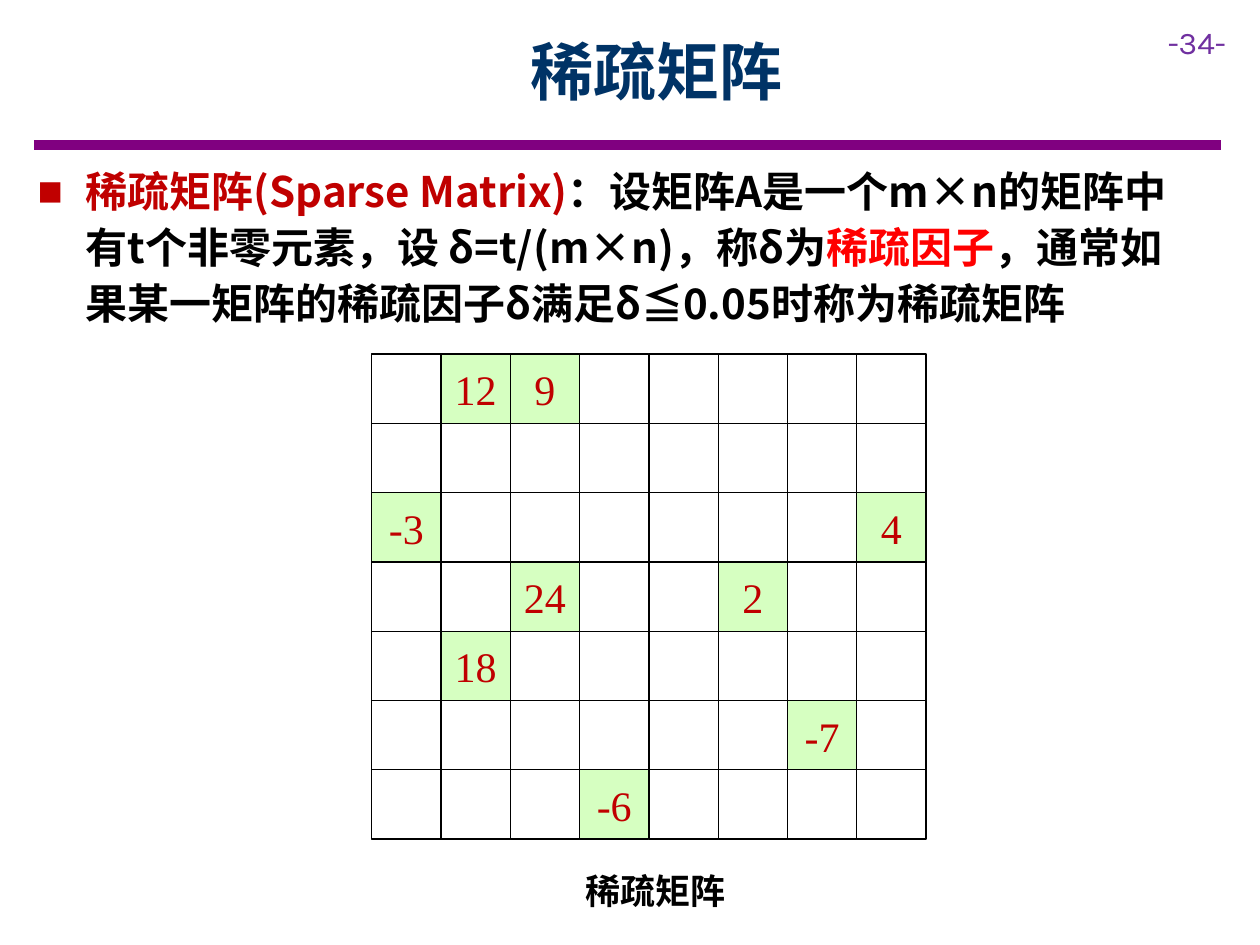
from dataclasses import dataclass

from lxml.etree import SubElement
from pptx import Presentation
from pptx.dml.color import RGBColor
from pptx.enum.shapes import MSO_CONNECTOR as Connector, MSO_SHAPE as Shape
from pptx.enum.text import MSO_ANCHOR as Anchor, PP_ALIGN as Align
from pptx.oxml.ns import qn
from pptx.util import Inches, Pt

HEAD_FONT, CELL_FONT = "Noto Sans CJK SC", "Times New Roman"
BLACK, DARK_RED = "000000", "C00000"

# Matrix grid, in inches
COLS, ROWS, CELL = 8, 7, 0.55
GRID_LEFT, GRID_TOP = 2.95, 2.81
NONZERO = {
    (0, 1): 12, (0, 2): 9,
    (2, 0): -3, (2, 7): 4,
    (3, 2): 24, (3, 5): 2,
    (4, 1): 18,
    (5, 6): -7,
    (6, 3): -6,
}


@dataclass
class Box:
    left: float
    top: float
    width: float
    height: float

    def emu(self) -> list:
        return [Inches(v) for v in (self.left, self.top, self.width, self.height)]


@dataclass
class Run:
    text: str
    size: float
    color: str
    font: str = HEAD_FONT
    bold: bool = True


def rgb(color: str) -> RGBColor:
    return RGBColor.from_string(color)


def write(p, runs: list[Run]) -> None:
    for run in runs:
        r = p.add_run()
        r.text = run.text
        r.font.size, r.font.bold, r.font.name = Pt(run.size), run.bold, run.font
        r.font.color.rgb = rgb(run.color)
        SubElement(r.font._element, qn("a:ea"), typeface=run.font)


def add_text(slide, box: Box, runs: list[Run], wrap: bool = True):
    tf = slide.shapes.add_textbox(*box.emu()).text_frame
    tf.word_wrap = wrap
    write(tf.paragraphs[0], runs)
    return tf


def add_bullet(p, char: str, color: str, indent: float) -> None:
    pPr = p._p.get_or_add_pPr()
    pPr.set("marL", str(Inches(indent)))
    pPr.set("indent", str(-Inches(indent)))
    SubElement(SubElement(pPr, qn("a:buClr")), qn("a:srgbClr"), val=color)
    SubElement(pPr, qn("a:buFont"), typeface="Arial")
    SubElement(pPr, qn("a:buChar"), char=char)


def add_cell(slide, row: int, col: int) -> None:
    box = Box(GRID_LEFT + col * CELL, GRID_TOP + row * CELL, CELL, CELL)
    sp = slide.shapes.add_shape(Shape.RECTANGLE, *box.emu())
    sp.shadow.inherit = False
    sp.line.color.rgb, sp.line.width = rgb(BLACK), Pt(0.75)
    value = NONZERO.get((row, col))
    if value is None:
        sp.fill.background()
        return
    sp.fill.solid()
    sp.fill.fore_color.rgb = rgb("99FF66")
    color = sp._element.spPr.find(qn("a:solidFill")).find(qn("a:srgbClr"))
    SubElement(color, qn("a:alpha"), val="40000")
    tf = sp.text_frame
    tf.word_wrap = False
    tf.vertical_anchor = Anchor.MIDDLE
    p = tf.paragraphs[0]
    p.alignment = Align.CENTER
    write(p, [Run(str(value), 24, DARK_RED, CELL_FONT, False)])


def main() -> None:
    prs = Presentation()
    prs.slide_width, prs.slide_height = Inches(10), Inches(7.5)
    slide = prs.slides.add_slide(prs.slide_layouts[6])

    # Rule under the title
    rule = slide.shapes.add_connector(
        Connector.STRAIGHT, Inches(0.27), Inches(1.15), Inches(9.69), Inches(1.15))
    rule.line.color.rgb, rule.line.width = rgb("800080"), Pt(6)
    SubElement(rule._element.spPr, qn("a:effectLst"))

    # Page number and title
    add_text(slide, Box(9.17, 0.13, 0.83, 0.4),
             [Run("-34-", 18, "7030A0", "Karla", False)])
    tf = add_text(slide, Box(1.14, 0.22, 8.14, 0.68),
                  [Run("稀疏矩阵", 36, "003366")])
    tf.vertical_anchor = Anchor.MIDDLE
    tf.paragraphs[0].alignment = Align.CENTER

    # Definition
    tf = add_text(slide, Box(0.2, 1.23, 9.45, 1.44), [
        Run("稀疏矩阵(Sparse Matrix)", 24, DARK_RED),
        Run("：设矩阵A是一个m×n的矩阵中有t个非零元素，设 δ=t/(m×n)，称δ为", 24, BLACK),
        Run("稀疏因子", 24, "FF0000"),
        Run("，通常如果某一矩阵的稀疏因子δ满足δ≦0.05时称为稀疏矩阵", 24, BLACK),
    ])
    tf.margin_top = tf.margin_bottom = Inches(0.04)
    p = tf.paragraphs[0]
    p.line_spacing = Pt(32)
    add_bullet(p, "■", DARK_RED, 0.38)

    # Matrix and its caption
    for row in range(ROWS):
        for col in range(COLS):
            add_cell(slide, row, col)
    tf = add_text(slide, Box(4.55, 6.74, 1.32, 0.5),
                  [Run("稀疏矩阵", 20, BLACK)], wrap=False)
    tf.paragraphs[0].line_spacing = Pt(32)

    prs.save("out.pptx")


if __name__ == "__main__":
    main()
